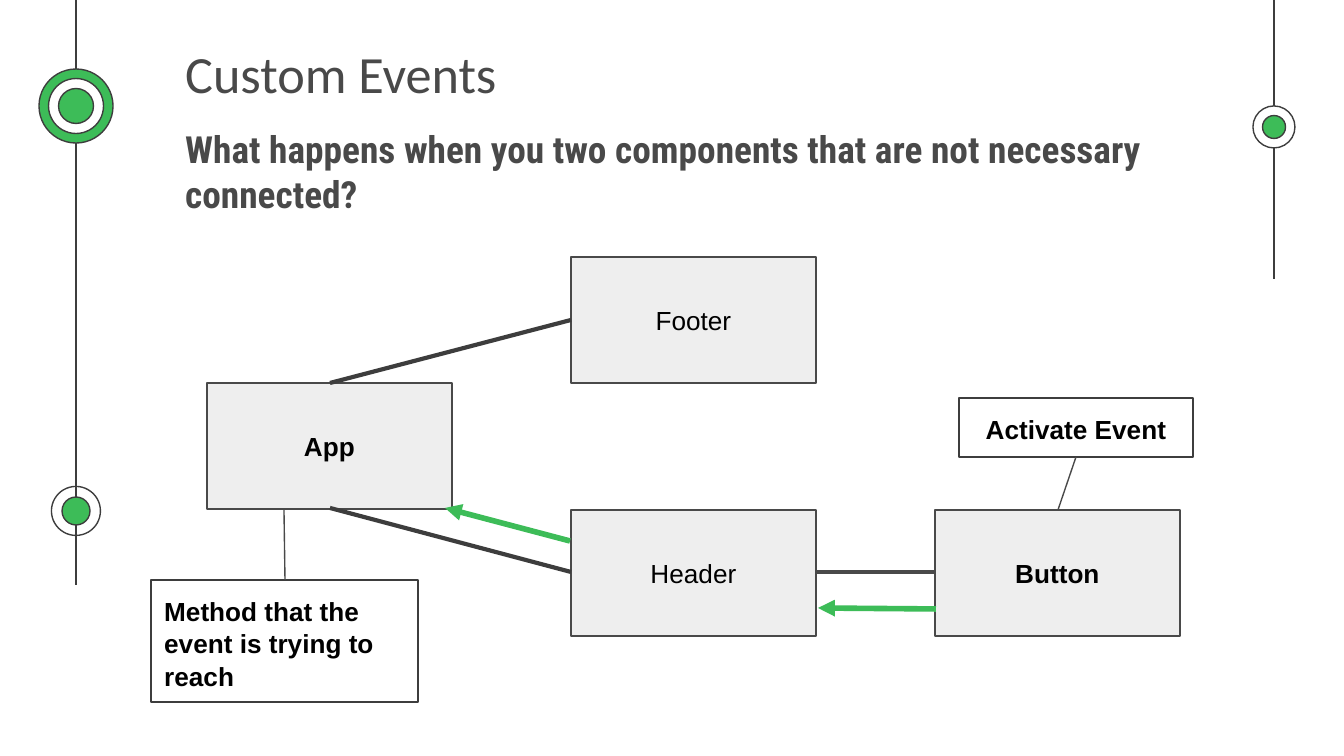
import pptx
import pptx.util
import pptx.dml.color
import pptx.enum.shapes
import pptx.enum.text
import pptx.oxml

SCALE = 914400 / 134.4  # EMU in one px
GREEN, DARK, GRAY = "3DBC58", "3D3D3D", "494949"
PALE, WHITE, BLACK = "EEEEEE", "FFFFFF", "000000"
SHAPE = pptx.enum.shapes.MSO_SHAPE
ALIGN = pptx.enum.text.PP_ALIGN
ANCHOR = pptx.enum.text.MSO_ANCHOR


def px(n):
    return pptx.util.Emu(round(n * SCALE))


def color(hex):
    return pptx.dml.color.RGBColor.from_string(hex)


def write(shape, text, font="Arial", size=14, ink=BLACK, bold=False,
          align=ALIGN.LEFT, anchor=ANCHOR.TOP, lead=None):
    frame = shape.text_frame
    frame.word_wrap = True
    frame.vertical_anchor = anchor
    frame.margin_left = frame.margin_right = pptx.util.Inches(0.1)
    frame.margin_top = frame.margin_bottom = pptx.util.Inches(0.1)
    para = frame.paragraphs[0]
    para.alignment = align
    if lead:
        para.line_spacing = lead
    run = para.add_run()
    run.text = text
    run.font.name = font
    run.font.size = pptx.util.Pt(size)
    run.font.bold = bold
    run.font.color.rgb = color(ink)


def label(slide, x, y, w, h, text, **style):
    write(slide.shapes.add_textbox(px(x), px(y), px(w), px(h)), text, **style)


def shape(slide, kind, x, y, w, h, fill=None, edge=DARK):
    item = slide.shapes.add_shape(kind, px(x), px(y), px(w), px(h))
    item.shadow.inherit = False
    if fill:
        item.fill.solid()
        item.fill.fore_color.rgb = color(fill)
    else:
        item.fill.background()
    item.line.color.rgb = color(edge)
    item.line.width = pptx.util.Pt(0.75)
    return item


def box(slide, x, y, text, bold=False):
    item = shape(slide, SHAPE.RECTANGLE, x, y, 245, 126, PALE, GRAY)
    write(item, text, bold=bold, align=ALIGN.CENTER, anchor=ANCHOR.MIDDLE)


def note(slide, x, y, w, h, text, align):
    item = shape(slide, SHAPE.RECTANGLE, x, y, w, h)
    write(item, text, bold=True, align=align, lead=1.05)


def rings(slide, x, y, *discs):
    for size, fill in discs:
        shape(slide, SHAPE.OVAL, x - size / 2, y - size / 2, size, size, fill)


def line(slide, x1, y1, x2, y2, ink=DARK, width=0.75, arrow=False):
    link = slide.shapes.add_connector(
        pptx.enum.shapes.MSO_CONNECTOR.STRAIGHT, px(x1), px(y1), px(x2), px(y2))
    link.line.color.rgb = color(ink)
    link.line.width = pptx.util.Pt(width)
    props = link._element.spPr
    if arrow:
        tail = pptx.oxml.parse_xml(
            '<a:tailEnd xmlns:a="http://schemas.openxmlformats.org/'
            'drawingml/2006/main" type="triangle"/>')
        link.line._get_or_add_ln().append(tail)
    props.append(pptx.oxml.parse_xml(
        '<a:effectLst xmlns:a="http://schemas.openxmlformats.org/'
        'drawingml/2006/main"/>'))


def main():
    deck = pptx.Presentation()
    deck.slide_width, deck.slide_height = px(1344), px(756)
    slide = deck.slides.add_slide(deck.slide_layouts[6])

    # Side rails with rings
    line(slide, 76, 0, 76, 585)
    line(slide, 1274, 0, 1274, 279)
    rings(slide, 76, 511, (49, None), (28, GREEN))
    rings(slide, 1274, 127, (42, WHITE), (23, GREEN))
    rings(slide, 76, 106, (74, GREEN), (55, WHITE), (35, GREEN))

    # Headings
    label(slide, 172, 28, 727, 85, "Custom Events",
          font="Calibri", size=28, ink=GRAY)
    label(slide, 172, 113, 1012, 63,
          "What happens when you two components that are not necessary connected?",
          font="Roboto Condensed", size=20, ink=GRAY, bold=True)

    # Components
    box(slide, 571, 257, "Footer")
    box(slide, 571, 510, "Header")
    box(slide, 935, 510, "Button", bold=True)
    box(slide, 207, 383, "App", bold=True)

    # Links between components
    line(slide, 330, 508, 571, 572, width=2.25)
    line(slide, 817, 572, 935, 572, GRAY, 2.25)
    line(slide, 330, 383, 571, 320, width=2.25)

    # Path of the event
    line(slide, 936, 609, 818, 608, GREEN, 3, arrow=True)
    line(slide, 570, 541, 445, 508, GREEN, 3, arrow=True)

    # Notes and their leaders
    note(slide, 959, 398, 234, 59, "Activate Event", ALIGN.CENTER)
    note(slide, 151, 580, 267, 122,
         "Method that the event is trying to reach", ALIGN.LEFT)
    line(slide, 285, 580, 284, 510, GRAY)
    line(slide, 1076, 457, 1058, 510, GRAY)

    deck.save("out.pptx")


if __name__ == "__main__":
    main()
